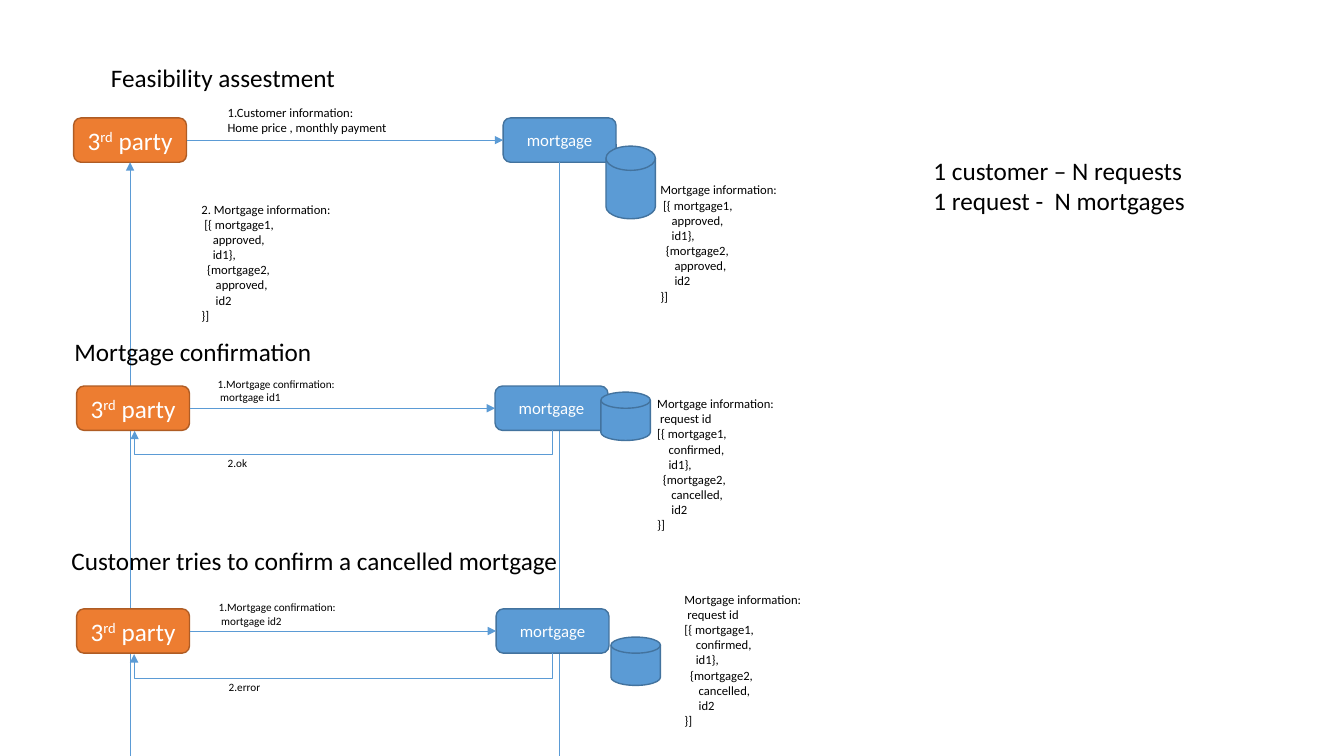
from dataclasses import dataclass

from lxml import etree
from pptx import Presentation
from pptx.dml.color import RGBColor
from pptx.enum.shapes import MSO_CONNECTOR, MSO_SHAPE
from pptx.enum.text import MSO_ANCHOR, MSO_AUTO_SIZE, PP_ALIGN
from pptx.oxml.ns import qn
from pptx.shapes.autoshape import Shape
from pptx.shapes.connector import Connector
from pptx.shapes.shapetree import SlideShapes
from pptx.text.text import TextFrame
from pptx.util import Emu, Pt

PX = 9144
SLIDE_WIDTH, SLIDE_HEIGHT = 1333, 750
BOX_WIDTH, BOX_HEIGHT = 112, 44
DISK_WIDTH = 49
RETURN_DROP = 25
SPACE_EM = 0.226
TITLE_ONLY = 5
TOP, LEFT, BOTTOM, RIGHT = range(4)

ROUNDED = MSO_SHAPE.ROUNDED_RECTANGLE
DISK = MSO_SHAPE.FLOWCHART_MAGNETIC_DISK
STRAIGHT, ELBOW = MSO_CONNECTOR.STRAIGHT, MSO_CONNECTOR.ELBOW
ALIGN_LEFT, ALIGN_CENTER = PP_ALIGN.LEFT, PP_ALIGN.CENTER
ANCHOR_TOP, ANCHOR_MIDDLE = MSO_ANCHOR.TOP, MSO_ANCHOR.MIDDLE
GROW = MSO_AUTO_SIZE.SHAPE_TO_FIT_TEXT

FONT = "Calibri"
BLACK, WHITE = "000000", "FFFFFF"
BLUE, BLUE_EDGE = "5B9BD5", "43739E"
ORANGE, ORANGE_EDGE = "ED7D31", "AF5C24"


@dataclass(frozen=True)
class Line:
    text: str
    indent: int = 0


@dataclass(frozen=True)
class Note:
    left: int
    top: int
    width: int
    height: int
    size: int
    lines: tuple[Line, ...]
    wrap: bool = False


@dataclass(frozen=True)
class Disk:
    left: int
    top: int
    height: int


@dataclass(frozen=True)
class Flow:
    heading: Note
    top: int
    party_left: int
    service_left: int
    disk: Disk
    request: Note
    reply: Note
    record: Note
    returns_below: bool = True


def mortgage_list(first_status: str, second_status: str, start: int) -> tuple[Line, ...]:
    return (
        Line("[{ mortgage1,", start), Line(f"{first_status},", 4), Line("id1},", 4),
        Line("{mortgage2,", 2), Line(f"{second_status},", 5), Line("id2", 5), Line("}]"),
    )


APPROVED = mortgage_list("approved", "approved", 1)
RECORD_TITLE = Line("Mortgage information:")
CONFIRMED_RECORD = (RECORD_TITLE, Line("request id", 1),
                    *mortgage_list("confirmed", "cancelled", 0))
CONFIRMATION = Line("1.Mortgage confirmation:")

FLOWS = (
    Flow(
        Note(100, 57, 245, 40, 18, (Line("Feasibility assestment"),)),
        117, 73, 499, Disk(601, 145, 72),
        Note(216, 99, 180, 40, 9,
             (Line("1.Customer information:"), Line("Home price , monthly payment"))),
        Note(190, 195, 150, 146, 9, (Line("2. Mortgage information:"), *APPROVED)),
        Note(645, 176, 138, 146, 9, (RECORD_TITLE, *APPROVED)),
        returns_below=False,
    ),
    Flow(
        Note(64, 329, 266, 40, 18, (Line("Mortgage confirmation"),)),
        383, 76, 491, Disk(596, 389, 48),
        Note(206, 369, 138, 37, 8, (CONFIRMATION, Line("mortgage id1", 1))),
        Note(216, 448, 40, 24, 8, (Line("2.ok"),)),
        Note(642, 388, 138, 162, 9, CONFIRMED_RECORD),
    ),
    Flow(
        Note(61, 536, 508, 40, 18,
             (Line("Customer tries to confirm a cancelled mortgage"),)),
        604, 76, 492, Disk(606, 632, 48),
        Note(207, 591, 138, 37, 8, (CONFIRMATION, Line("mortgage id2", 1))),
        Note(217, 670, 52, 24, 8, (Line("2.error"),)),
        Note(669, 582, 138, 162, 9, CONFIRMED_RECORD),
    ),
)
CARDINALITY = Note(916, 149, 298, 71, 18,
                   (Line("1 customer – N requests"), Line("1 request -  N mortgages")), True)


def px(length: int) -> Emu:
    return Emu(length * PX)


def color(hex_value: str) -> RGBColor:
    return RGBColor.from_string(hex_value)


def write_lines(frame: TextFrame, note: Note) -> None:
    frame.word_wrap = note.wrap
    frame.auto_size = GROW
    frame.vertical_anchor = ANCHOR_TOP
    for index, line in enumerate(note.lines):
        paragraph = frame.add_paragraph() if index else frame.paragraphs[0]
        paragraph.text = line.text
        paragraph.alignment = ALIGN_LEFT
        paragraph.font.name, paragraph.font.size = FONT, Pt(note.size)
        paragraph.font.color.rgb = color(BLACK)
        if line.indent:
            margin = Pt(line.indent * SPACE_EM * note.size)
            paragraph._p.get_or_add_pPr().set("marL", str(margin))


def add_note(shapes: SlideShapes, note: Note) -> None:
    area = map(px, (note.left, note.top, note.width, note.height))
    write_lines(shapes.add_textbox(*area).text_frame, note)


def fill_title(title: Shape, note: Note) -> None:
    title.left, title.top = px(note.left), px(note.top)
    title.width, title.height = px(note.width), px(note.height)
    write_lines(title.text_frame, note)


def add_solid(shapes: SlideShapes, kind: MSO_SHAPE, area: tuple[int, int, int, int],
              fill: str, edge: str) -> Shape:
    solid = shapes.add_shape(kind, *map(px, area))
    solid.shadow.inherit = False
    solid.fill.solid()
    solid.fill.fore_color.rgb = color(fill)
    solid.line.color.rgb = color(edge)
    solid.line.width = Pt(1)
    return solid


def add_box(shapes: SlideShapes, left: int, top: int, fill: str, edge: str,
            size: int, words: tuple[str, ...]) -> Shape:
    box = add_solid(shapes, ROUNDED, (left, top, BOX_WIDTH, BOX_HEIGHT), fill, edge)
    box.text_frame.vertical_anchor = ANCHOR_MIDDLE
    label = box.text_frame.paragraphs[0]
    label.alignment = ALIGN_CENTER
    label.font.name, label.font.size = FONT, Pt(size)
    label.font.color.rgb = color(WHITE)
    for word in words:
        run = label.add_run()
        run.text = word
        if word == "rd":
            run._r.get_or_add_rPr().set("baseline", "30000")
    return box


def add_link(shapes: SlideShapes, kind: MSO_CONNECTOR, start: tuple[int, int],
             end: tuple[int, int], arrow: bool = True) -> Connector:
    link = shapes.add_connector(kind, *map(px, start + end))
    link.line.color.rgb = color(BLUE)
    link.line.width = Pt(0.5)
    properties = link._element.spPr
    if arrow:
        etree.SubElement(properties.find(qn("a:ln")), qn("a:tailEnd"), type="triangle")
    etree.SubElement(properties, qn("a:effectLst"))
    return link


def add_return(shapes: SlideShapes, start_x: int, end_x: int, y: int) -> None:
    span = start_x - end_x
    left, top = (start_x + end_x) // 2, y - span // 2
    link = add_link(shapes, ELBOW, (left, top), (left + 1, top + span))
    properties = link._element.spPr
    properties.find(qn("a:xfrm")).set("rot", "5400000")
    bends = properties.find(qn("a:prstGeom")).get_or_add_avLst()
    etree.SubElement(bends, qn("a:gd"), name="adj1", fmla=f"val {RETURN_DROP * 100000}")


def add_flow(shapes: SlideShapes, flow: Flow) -> None:
    party = add_box(shapes, flow.party_left, flow.top, ORANGE, ORANGE_EDGE, 18,
                    ("3", "rd", " party"))
    service = add_box(shapes, flow.service_left, flow.top, BLUE, BLUE_EDGE, 12, ("mortgage",))
    middle, bottom = flow.top + BOX_HEIGHT // 2, flow.top + BOX_HEIGHT
    request = add_link(shapes, STRAIGHT, (flow.party_left + BOX_WIDTH, middle),
                       (flow.service_left, middle))
    request.begin_connect(party, RIGHT)
    request.end_connect(service, LEFT)
    party_x, service_x = (left + BOX_WIDTH // 2 for left in (flow.party_left, flow.service_left))
    if flow.returns_below:
        add_return(shapes, service_x, party_x + 1, bottom)
    else:
        descent = add_link(shapes, STRAIGHT, (service_x, bottom), (service_x, SLIDE_HEIGHT), False)
        descent.begin_connect(service, BOTTOM)
        ascent = add_link(shapes, STRAIGHT, (party_x, SLIDE_HEIGHT), (party_x, bottom))
        ascent.end_connect(party, BOTTOM)
    disk = flow.disk
    add_solid(shapes, DISK, (disk.left, disk.top, DISK_WIDTH, disk.height), BLUE, BLUE_EDGE)
    for note in (flow.request, flow.reply, flow.record):
        add_note(shapes, note)


def main() -> None:
    deck = Presentation()
    deck.slide_width, deck.slide_height = px(SLIDE_WIDTH), px(SLIDE_HEIGHT)
    shapes = deck.slides.add_slide(deck.slide_layouts[TITLE_ONLY]).shapes
    for flow in FLOWS:
        if flow is FLOWS[0]:
            fill_title(shapes.title, flow.heading)
        else:
            add_note(shapes, flow.heading)
        add_flow(shapes, flow)
    add_note(shapes, CARDINALITY)
    deck.save("out.pptx")


if __name__ == "__main__":
    main()
